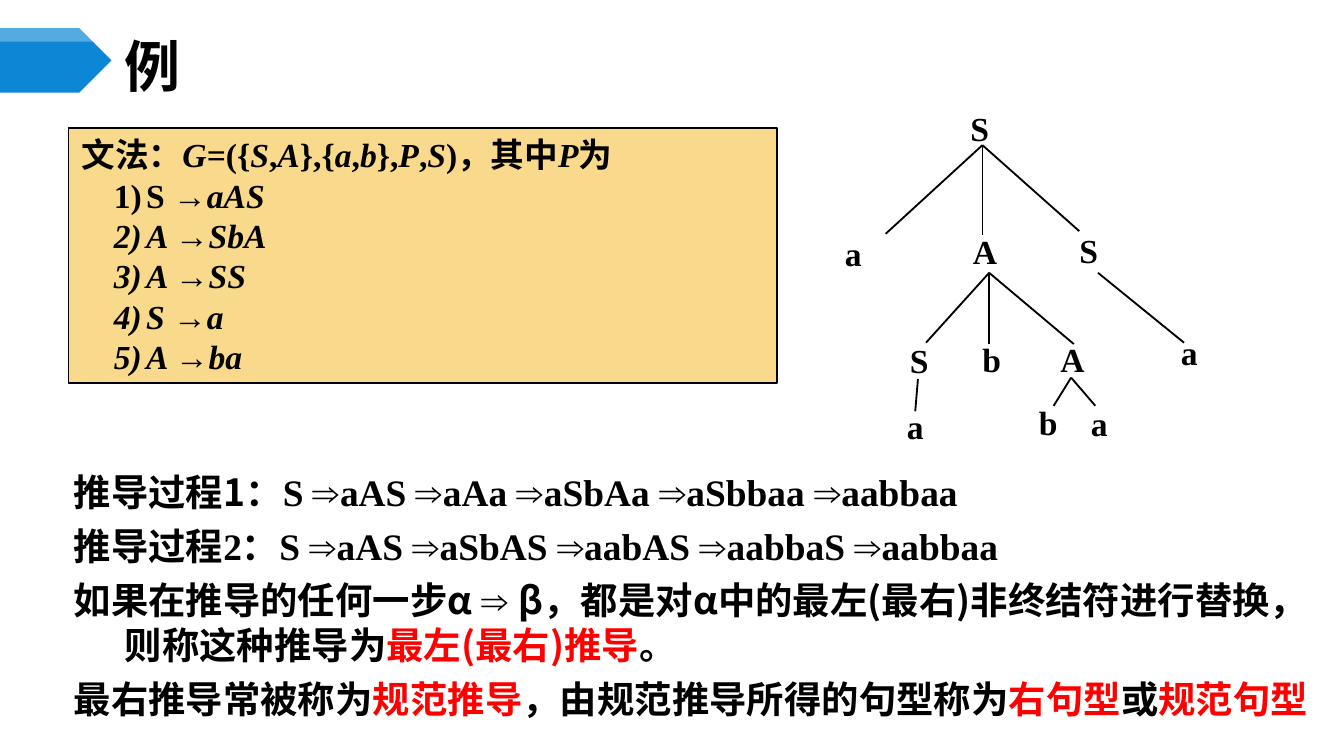
from lxml import etree
from pptx import Presentation
from pptx import util as u
from pptx.dml.color import RGBColor
from pptx.enum import shapes, text
from pptx.oxml.ns import qn

CJK, SERIF, SANS = "Noto Sans CJK SC", "Times New Roman", "Arial"
BLACK, RED, BLUE, SAND, WHITE = "000000", "FF0000", "0B87D6", "F9D98C", "FFFFFF"

# Segments alternate between upright and italic, starting upright.
GRAMMAR_HEAD = ["=({", "S", ",", "A", "},{", "a", ",", "b", "},", "P", ",", "S",
                ")，其中", "P", "为"]
FIRST_RULE = [("S", False), (" →aAS", True)]
OTHER_RULES = ["A →SbA", "A →SS", "S →a", "A →ba"]

DERIVATIONS = [
    (("推导过程1：", CJK), ["S ", "aAS ", "aAa ", "aSbAa ", "aSbbaa ", "aabbaa"]),
    (("推导过程2：", SERIF), ["S ", "aAS ", "aSbAS ", "aabAS ", "aabbaS ", "aabbaa"]),
]
DEFINITIONS = [
    [("如果在推导的任何一步α ", CJK, BLACK), ("⇒ ", SANS, BLACK),
     ("β，都是对α中的最左(最右)非终结符进行替换，则称这种推导为", CJK, BLACK),
     ("最左(最右)推导", CJK, RED), ("。", CJK, BLACK)],
    [("最右推导常被称为", CJK, BLACK), ("规范推导", CJK, RED),
     ("，由规范推导所得的句型称为", CJK, BLACK), ("右句型", CJK, RED),
     ("或", CJK, BLACK), ("规范句型", CJK, RED)],
]

WIDE, SMALL = (1.5, 0.26), (0.4, 0.4)
# label, centre x, centre y, box size
TREE_NODES = [
    ("S", 7.29, 0.95, (1.22, 0.29)),
    ("a", 6.35, 1.88, WIDE), ("A", 7.33, 1.87, WIDE), ("S", 8.1, 1.86, (1.69, 0.32)),
    ("S", 6.84, 2.68, WIDE), ("b", 7.38, 2.67, WIDE), ("A", 7.98, 2.67, SMALL),
    ("a", 8.85, 2.62, SMALL),
    ("a", 6.81, 3.17, SMALL), ("b", 7.8, 3.14, SMALL), ("a", 8.18, 3.15, SMALL),
]
# branching point, ends of its branches
TREE_BRANCHES = [
    ((7.31, 1.08), [(6.59, 1.74), (7.31, 1.75), (8.03, 1.72)]),
    ((7.36, 2.03), [(6.89, 2.55), (7.36, 2.56), (7.99, 2.56)]),
    ((8.17, 2.03), [(8.81, 2.55)]),
    ((6.83, 2.82), [(6.81, 3.06)]),
    ((7.97, 2.81), [(7.84, 3.02), (8.15, 3.02)]),
]


def color(value):
    return RGBColor.from_string(value)


def add_span(para, words, font=SERIF, ink=BLACK, italic=None):
    span = para.add_run()
    span.text = words
    span.font.name = font
    span.font.italic = italic
    span.font.color.rgb = color(ink)
    east = etree.SubElement(span.font._element, qn("a:ea"))
    east.set("typeface", SANS if font == SANS else CJK)


def set_paragraph(para, size, left=0, first=0, numbered=False):
    """Set indents, numbering, line pitch and the shared bold font."""
    props = para._p.get_or_add_pPr()
    props.set("marL", str(u.Inches(left)))
    props.set("indent", str(u.Inches(first)))
    if numbered:
        etree.SubElement(props, qn("a:buFont")).set("typeface", SERIF)
        etree.SubElement(props, qn("a:buAutoNum")).set("type", "arabicParenR")
    else:
        etree.SubElement(props, qn("a:buNone"))
    para.line_spacing = u.Pt(size * 1.2)
    para.font.size = u.Pt(size)
    para.font.bold = True


def add_text_box(page, left, top, width, height, wrap=True):
    box = page.shapes.add_textbox(*map(u.Inches, (left, top, width, height)))
    box.text_frame.word_wrap = wrap
    return box.text_frame


def paragraphs(frame):
    yield frame.paragraphs[0]
    while True:
        yield frame.add_paragraph()


def add_outline(page, points, fill):
    start, *rest = [(u.Inches(x), u.Inches(y)) for x, y in points]
    builder = page.shapes.build_freeform(*start)
    builder.add_line_segments(rest, close=True)
    shape = builder.convert_to_shape()
    shape.shadow.inherit = False
    shape.fill.solid()
    shape.fill.fore_color.rgb = color(fill)
    shape.line.fill.background()
    return shape


def add_title(page):
    add_outline(page, [(0, 0.21), (0.59, 0.21), (0.83, 0.45), (0.59, 0.69), (0, 0.69)], BLUE)
    shine = add_outline(
        page, [(0, 0.21), (0.78, 0.21), (0.83, 0.26), (0.78, 0.31), (0, 0.31)], WHITE)
    tint = shine._element.spPr.find(qn("a:solidFill"))[0]
    etree.SubElement(tint, qn("a:alpha")).set("val", "30000")

    frame = add_text_box(page, 0.83, 0.29, 8.67, 0.39)
    frame.vertical_anchor = text.MSO_ANCHOR.MIDDLE
    frame.margin_top = frame.margin_bottom = 0
    para = frame.paragraphs[0]
    para.font.size = u.Pt(30)
    para.font.bold = True
    add_span(para, "例", CJK)


def add_grammar(page):
    box = page.shapes.add_shape(
        shapes.MSO_SHAPE.RECTANGLE, *map(u.Inches, (0.51, 0.95, 5.27, 1.9)))
    box.shadow.inherit = False
    box.fill.solid()
    box.fill.fore_color.rgb = color(SAND)
    box.line.color.rgb = color(BLACK)
    box.line.width = u.Pt(1)
    frame = box.text_frame
    frame.word_wrap = True
    frame.vertical_anchor = text.MSO_ANCHOR.TOP

    paras = paragraphs(frame)
    head = next(paras)
    head.alignment = text.PP_ALIGN.LEFT
    set_paragraph(head, 18)
    add_span(head, "文法：", CJK)
    add_span(head, "G", italic=True)
    for index, words in enumerate(GRAMMAR_HEAD):
        add_span(head, words, italic=index % 2 == 1)
    for rule in [FIRST_RULE] + [[(words, True)] for words in OTHER_RULES]:
        para = next(paras)
        para.alignment = text.PP_ALIGN.LEFT
        set_paragraph(para, 18, 0.48, -0.24, numbered=True)
        for words, italic in rule:
            add_span(para, words, italic=italic)


def add_explanation(page):
    lines = []
    for (label, font), steps in DERIVATIONS:
        line = [(label, font, BLACK), (steps[0], SERIF, BLACK)]
        for step in steps[1:]:
            line += [("⇒", SANS, BLACK), (step, SERIF, BLACK)]
        lines.append(line)

    frame = add_text_box(page, 0.45, 3.44, 9.44, 1.97)
    for index, (line, para) in enumerate(zip(lines + DEFINITIONS, paragraphs(frame))):
        set_paragraph(para, 20, 0.38, -0.38)
        if index:
            para.space_before = u.Pt(5)
        for words, font, ink in line:
            add_span(para, words, font, ink)


def add_tree(page):
    for start, ends in TREE_BRANCHES:
        for end in ends:
            branch = page.shapes.add_connector(
                shapes.MSO_CONNECTOR.STRAIGHT, *map(u.Inches, start + end))
            branch.line.color.rgb = color(BLACK)
            branch.line.width = u.Pt(1)
            etree.SubElement(branch._element.spPr, qn("a:effectLst"))
    for label, x, y, (width, height) in TREE_NODES:
        frame = add_text_box(page, x - width / 2, y - height / 2, width, height, wrap=False)
        frame.vertical_anchor = text.MSO_ANCHOR.MIDDLE
        para = frame.paragraphs[0]
        para.alignment = text.PP_ALIGN.CENTER
        para.font.size = u.Pt(18)
        para.font.bold = True
        add_span(para, label)


def main():
    deck = Presentation()
    deck.slide_width = u.Inches(10)
    deck.slide_height = deck.slide_width * 9 // 16
    page = deck.slides.add_slide(deck.slide_layouts[6])
    add_title(page)
    add_grammar(page)
    add_explanation(page)
    add_tree(page)
    deck.save("out.pptx")


if __name__ == "__main__":
    main()
